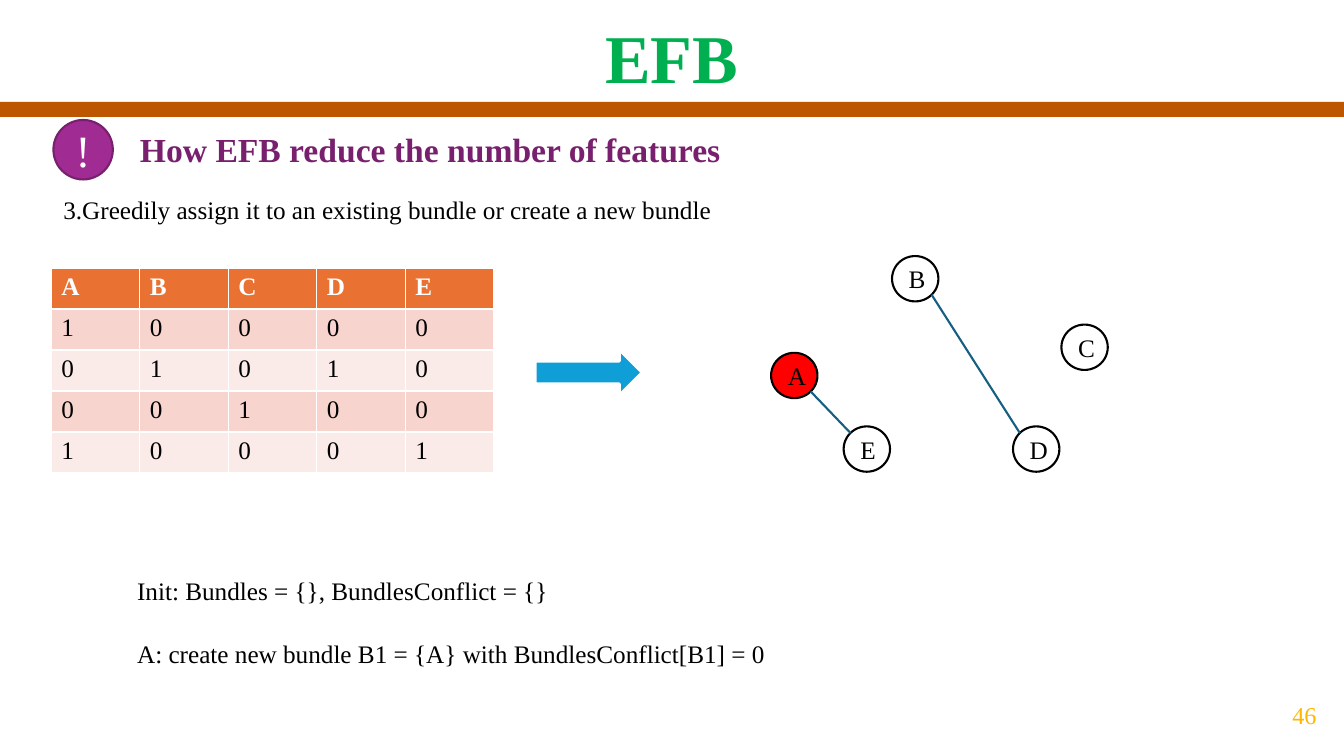
from math import sqrt
from pptx import Presentation
from pptx.dml.color import RGBColor
from pptx.enum.shapes import MSO_CONNECTOR as Connector, MSO_SHAPE as Shape
from pptx.enum.text import MSO_ANCHOR as Anchor, MSO_AUTO_SIZE as AutoSize, PP_ALIGN as Align
from pptx.oxml.ns import qn
from pptx.util import Inches, Pt

WHITE = RGBColor(0xFF, 0xFF, 0xFF)
BLACK = RGBColor(0x00, 0x00, 0x00)
RED = RGBColor(0xFF, 0x00, 0x00)
GREEN = RGBColor(0x00, 0xB0, 0x50)
BROWN = RGBColor(0xBD, 0x56, 0x00)
PLUM = RGBColor(0x78, 0x20, 0x6E)
PURPLE = RGBColor(0xA0, 0x2B, 0x93)
GOLD = RGBColor(0xFF, 0xB6, 0x00)
ORANGE = RGBColor(0xE9, 0x71, 0x32)
ROSE = RGBColor(0xF7, 0xD5, 0xCE)
PALE_ROSE = RGBColor(0xFB, 0xEB, 0xE8)
BLUE = RGBColor(0x0F, 0x9E, 0xD5)
TEAL = RGBColor(0x15, 0x60, 0x82)

COLUMNS, ROWS = 160, 90  # slide grid
NODE_WIDTH, NODE_HEIGHT = 5.52, 5.4


class SlideBuilder:
    """Draws on one slide; every length is in grid columns and rows."""

    font = "Times New Roman"

    def __init__(self, presentation):
        self.column = presentation.slide_width / COLUMNS
        self.row = presentation.slide_height / ROWS
        self.slide = presentation.slides.add_slide(presentation.slide_layouts[1])

    def box(self, left, top, width, height):
        return (round(left * self.column), round(top * self.row),
                round(width * self.column), round(height * self.row))

    def set_text(self, frame, text, size, color, bold=False, align=Align.LEFT, anchor=Anchor.TOP):
        frame.text = text
        frame.word_wrap = True
        frame.auto_size = AutoSize.NONE
        frame.vertical_anchor = anchor
        for paragraph in frame.paragraphs:
            paragraph.alignment = align
            for run in paragraph.runs:
                run.font.name = self.font
                run.font.size = Pt(size)
                run.font.bold = bold
                run.font.color.rgb = color

    def placeholder(self, index, box, text, size, color, **style):
        shape = self.slide.placeholders[index]
        shape.left, shape.top, shape.width, shape.height = self.box(*box)
        self.set_text(shape.text_frame, text, size, color, **style)
        return shape

    def text(self, box, text, size, color, **style):
        shape = self.slide.shapes.add_textbox(*self.box(*box))
        self.set_text(shape.text_frame, text, size, color, **style)

    def shape(self, kind, box, fill, line=None, line_width=1.5):
        shape = self.slide.shapes.add_shape(kind, *self.box(*box))
        shape.shadow.inherit = False
        shape.fill.solid()
        shape.fill.fore_color.rgb = fill
        if line is None:
            shape.line.fill.background()
        else:
            shape.line.color.rgb = line
            shape.line.width = Pt(line_width)
        return shape

    def label(self, shape, text, size, color, **style):
        self.set_text(shape.text_frame, text, size, color, anchor=Anchor.MIDDLE, **style)

    def edge(self, start, end, color):
        """Joins the lower right of one node to the upper left of another."""
        reach_x, reach_y = NODE_WIDTH / sqrt(8), NODE_HEIGHT / sqrt(8)
        middle_x, middle_y = NODE_WIDTH / 2, NODE_HEIGHT / 2
        begin = self.box(start[0] + middle_x + reach_x, start[1] + middle_y + reach_y, 0, 0)
        finish = self.box(end[0] + middle_x - reach_x, end[1] + middle_y - reach_y, 0, 0)
        line = self.slide.shapes.add_connector(Connector.STRAIGHT, *begin[:2], *finish[:2])
        line.line.color.rgb = color
        line.line.width = Pt(1.5)
        properties = line._element.spPr
        properties.append(properties.makeelement(qn("a:effectLst"), {}))

    def table(self, box, rows):
        table = self.slide.shapes.add_table(len(rows), len(rows[0]), *self.box(*box)).table
        for row_index, values in enumerate(rows):
            header = row_index == 0
            fill = ORANGE if header else (PALE_ROSE, ROSE)[row_index % 2]
            for column_index, value in enumerate(values):
                cell = table.cell(row_index, column_index)
                cell.fill.solid()
                cell.fill.fore_color.rgb = fill
                cell.text = value
                font = cell.text_frame.paragraphs[0].runs[0].font
                font.name, font.size, font.bold = self.font, Pt(18), header
                font.color.rgb = WHITE if header else BLACK


def main():
    presentation = Presentation()
    presentation.slide_width, presentation.slide_height = Inches(13.33), Inches(7.5)
    builder = SlideBuilder(presentation)

    # Title and rule
    builder.shape(Shape.RECTANGLE, (0, 12.12, COLUMNS, 1.8), BROWN)
    builder.placeholder(0, (0, 0.72, COLUMNS, 11.4), "EFB", 48.8, GREEN,
                        bold=True, align=Align.CENTER, anchor=Anchor.BOTTOM)

    # Heading with badge
    heading = builder.shape(Shape.ROUNDED_RECTANGLE, (15.12, 14.16, 138.36, 7.2), WHITE)
    builder.label(heading, "How EFB reduce the number of features", 24, PLUM, bold=True)
    badge = builder.shape(Shape.OVAL, (6.36, 14.28, 7.08, 7.08), PURPLE, PLUM)
    builder.label(badge, "!", 32, WHITE, align=Align.CENTER)
    builder.text((6.36, 22.56, 153.64, 4.8),
                 "3.Greedily assign it to an existing bundle or create a new bundle", 18, BLACK)

    # Feature table and arrow
    builder.table((6.12, 31.92, 52.68, 24.4), ["ABCDE", "10000", "01010", "00100", "10001"])
    builder.shape(Shape.RIGHT_ARROW, (63.72, 41.64, 12.72, 5.4), BLUE, WHITE, 2)

    # Conflict graph
    nodes = {"A": (91.8, 42), "B": (106.2, 30.48), "C": (126.36, 38.64),
             "D": (120.6, 50.76), "E": (100.44, 50.76)}
    for name, corner in nodes.items():
        node = builder.shape(Shape.OVAL, (*corner, NODE_WIDTH, NODE_HEIGHT),
                             RED if name == "A" else WHITE, BLACK)
        builder.label(node, name, 18, BLACK, align=Align.CENTER)
    for start, end in ("AE", "BD"):
        builder.edge(nodes[start], nodes[end], TEAL)

    # Bundle steps
    steps = builder.placeholder(
        1, (15.12, 67.92, 87.84, 12.12),
        "Init: Bundles = {}, BundlesConflict = {}\n"
        "A: create new bundle B1 = {A} with BundlesConflict[B1] = 0", 18, BLACK)
    for paragraph in steps.text_frame.paragraphs:
        paragraph.space_before = Pt(0)
        paragraph.space_after = Pt(23)
        properties = paragraph._p.get_or_add_pPr()
        properties.set("marL", "0")
        properties.set("indent", "0")
        properties.append(properties.makeelement(qn("a:buNone"), {}))

    # Page number
    builder.text((150.6, 80.28, 9.4, 9.72), "46", 17.3, GOLD,
                 align=Align.CENTER, anchor=Anchor.MIDDLE)

    presentation.save("out.pptx")


if __name__ == "__main__":
    main()
